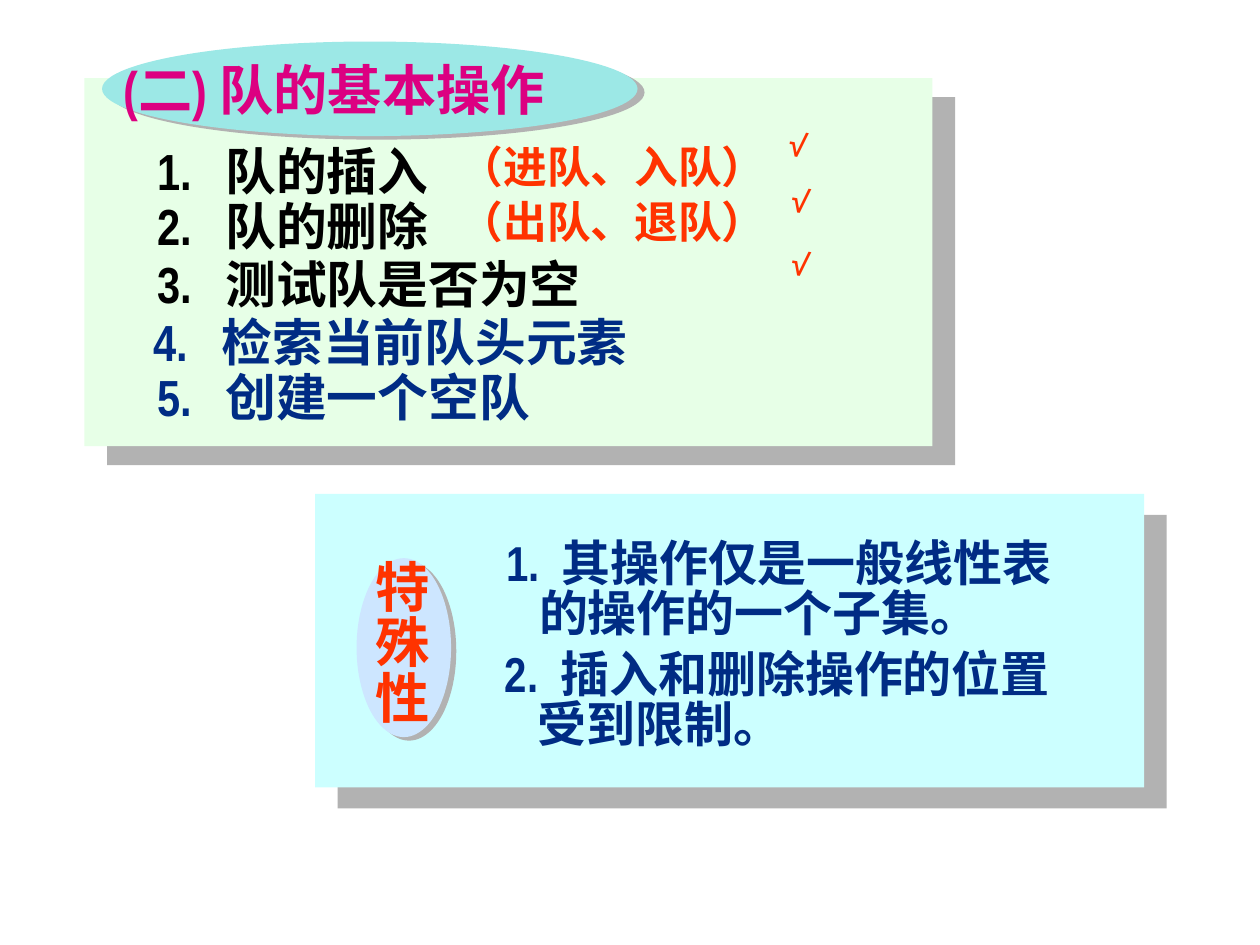
from lxml import etree
from pptx import Presentation
from pptx import util as u
from pptx.dml.color import RGBColor
from pptx.enum import shapes
from pptx.oxml.ns import qn

LATIN, CJK = "Arial Narrow", "Noto Sans CJK SC"
BLACK, NAVY, RED, MAGENTA, GREY = "000000", "002C84", "FF3300", "DC0081", "B2B2B2"
RECT, OVAL = shapes.MSO_SHAPE.RECTANGLE, shapes.MSO_SHAPE.OVAL

# Content: preset, place, fill, shadow distance (pt) and angle
panels = [
    (RECT, (0.67, 0.62, 6.73, 2.92), "E7FFE7", 17, 40),
    (OVAL, (0.81, 0.33, 4.25, 0.75), "9CE8E6", 4.5, 27),
    (RECT, (2.5, 3.92, 6.58, 2.33), "CCFFFF", 17.7, 43),
    (OVAL, (2.83, 4.43, 0.75, 1.42), "CDE6FF", 3.6, 34),
]
title = "(二) 队的基本操作"
# Left, top, name, colour, other names
operations = [
    (1.15, 1.06, "队的插入", BLACK, "（进队、入队）"),
    (1.15, 1.50, "队的删除", BLACK, "（出队、退队）"),
    (1.15, 1.96, "测试队是否为空", BLACK, None),
    (1.12, 2.42, "检索当前队头元素", NAVY, None),
    (1.15, 2.85, "创建一个空队", NAVY, None),
]
ticks = [(6.15, 0.97), (6.17, 1.42), (6.17, 1.92)]
feature = "特殊性"
notes = [
    (3.92, 4.25, "其操作仅是一般线性表", "的操作的一个子集。"),
    (3.91, 5.13, "插入和删除操作的位置", "受到限制。"),
]
OPERATION_INDENT, NOTE_INDENT, NOTE_WRAP_INDENT = 0.54, 0.44, 0.26

prs = Presentation()
prs.slide_width, prs.slide_height = u.Inches(10), u.Inches(7.5)
slide = prs.slides.add_slide(prs.slide_layouts[6])


def rgb(value):
    return RGBColor.from_string(value)


def add_shadow(effects, distance, angle, color):
    shadow = etree.SubElement(effects, qn("a:outerShdw"), dist=str(u.Pt(distance)),
                              dir=str(angle * 60000), algn="ctr", rotWithShape="0")
    etree.SubElement(shadow, qn("a:srgbClr"), val=color)


def add_panel(preset, place, fill, distance, angle):
    panel = slide.shapes.add_shape(preset, *map(u.Inches, place))
    panel.fill.solid()
    panel.fill.fore_color.rgb = rgb(fill)
    panel.line.fill.background()
    panel.shadow.inherit = False
    add_shadow(panel._element.spPr.find(qn("a:effectLst")), distance, angle, GREY)


def add_text(place, lines, size, color, spacing=None, wrap=True):
    """Each line is (text, left margin, first-line indent)."""
    box = slide.shapes.add_textbox(*map(u.Inches, place))
    frame = box.text_frame
    frame.word_wrap = wrap
    for i, (words, margin, indent) in enumerate(lines):
        para = frame.paragraphs[0] if i == 0 else frame.add_paragraph()
        props = para._p.get_or_add_pPr()
        props.set("marL", str(u.Inches(margin)))
        props.set("indent", str(u.Inches(indent)))
        if spacing:
            para.line_spacing = spacing
        run = para.add_run()
        run.text = words
        run.font.size, run.font.bold, run.font.name = u.Pt(size), True, LATIN
        run.font.color.rgb = rgb(color)
        latin = run._r.rPr.find(qn("a:latin"))
        latin.addnext(latin.makeelement(qn("a:ea"), {"typeface": CJK}))
    return box


def numbered(number, words, indent):
    return f"{number}.\t{words}", indent, -indent


# Panels and title
for panel in panels:
    add_panel(*panel)
add_text((0.88, 0.4, 4.25, 0.62), [(title, 0, 0)], 31, MAGENTA)

# Operations with their other names
for number, (left, top, name, color, others) in enumerate(operations, 1):
    add_text((left, top, 5.5, 0.58), [numbered(number, name, OPERATION_INDENT)], 29, color)
    if others:
        add_text((left + 2.4, top, 2.67, 0.52), [(others, 0, 0)], 25, RED)

# Ticks
for left, top in ticks:
    add_text((left, top, 0.68, 0.63), [("√", 0, 0)], 18, RED).rotation = 9.1

# Feature label, one character a line, with a text shadow
label = add_text((2.88, 4.42, 0.63, 1.42), [(char, 0, 0) for char in feature],
                 31, RED, 0.85, wrap=False)
for para in label.text_frame.paragraphs:
    fill = para.runs[0]._r.rPr.find(qn("a:solidFill"))
    effects = fill.makeelement(qn("a:effectLst"), {})
    fill.addnext(effects)
    add_shadow(effects, 2, 45, "FFFFFF")

# Notes
for number, (left, top, first, second) in enumerate(notes, 1):
    add_text((left, top, 5.1, 0.9),
             [numbered(number, first, NOTE_INDENT), (second, NOTE_WRAP_INDENT, 0)],
             28, NAVY, 0.85)

prs.save("out.pptx")
